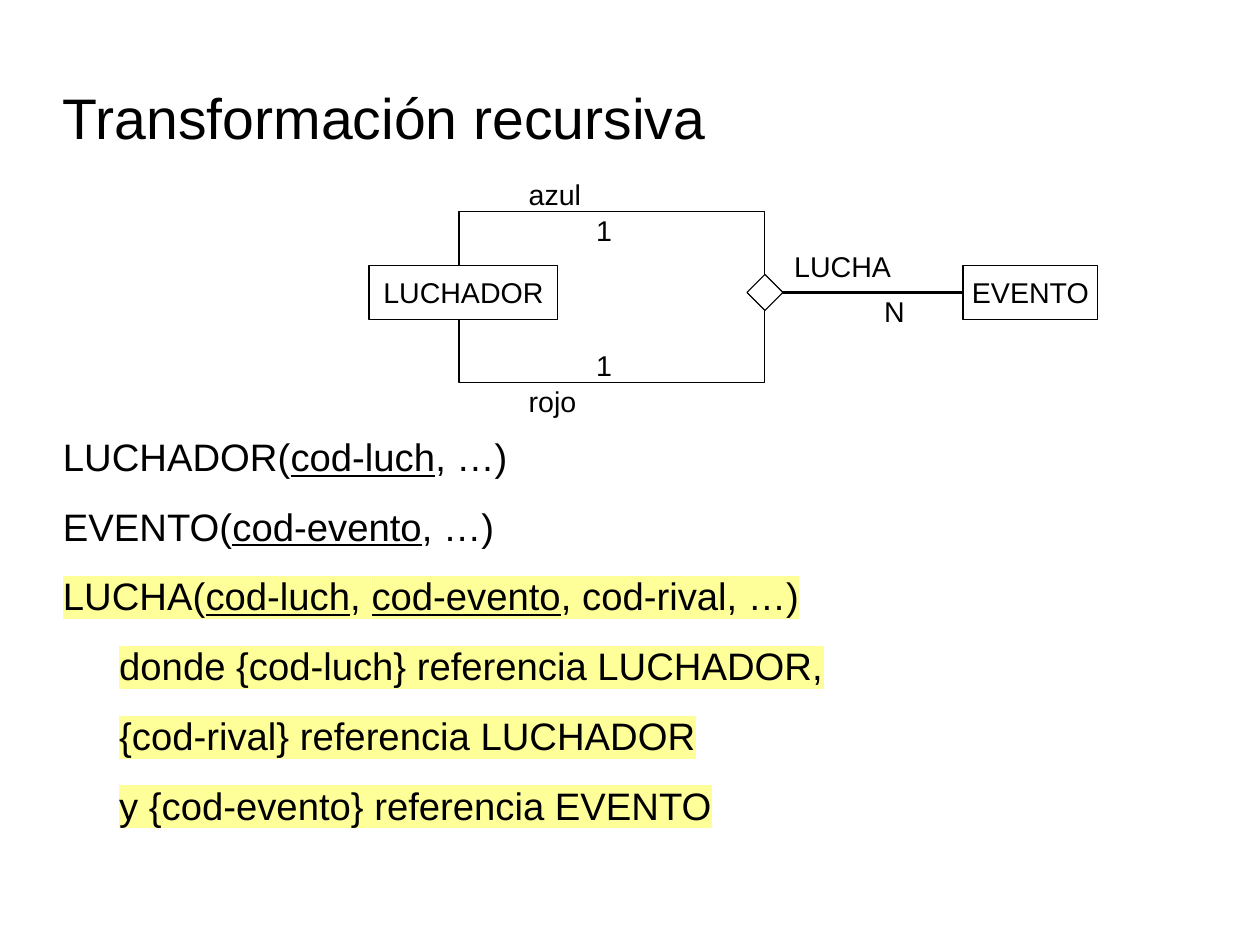
from lxml.etree import SubElement
from pptx import Presentation
from pptx.dml.color import RGBColor
from pptx.enum.shapes import MSO_CONNECTOR, MSO_SHAPE
from pptx.enum.text import MSO_ANCHOR, PP_ALIGN
from pptx.oxml.ns import qn
from pptx.util import Cm, Pt

COLORS = {"ink": "000000", "paper": "FFFFFF", "highlight": "FFFF99"}
FONT = "Arial"

# Each relation is (indented, highlighted, runs); a run is (text, underlined)
RELATIONS = [
    (False, False, [("LUCHADOR(", False), ("cod-luch", True), (", …)", False)]),
    (False, False, [("EVENTO(", False), ("cod-evento", True), (", …)", False)]),
    (False, True, [("LUCHA(", False), ("cod-luch", True), (", ", False),
                   ("cod-evento", True), (", cod-rival, …)", False)]),
    (True, True, [("donde {cod-luch} referencia LUCHADOR,", False)]),
    (True, True, [("{cod-rival} referencia LUCHADOR", False)]),
    (True, True, [("y {cod-evento} referencia EVENTO", False)]),
]


def color(key):
    return RGBColor.from_string(COLORS[key])


def format_run(run, size, highlighted=False):
    run.font.size = Pt(size)
    run.font.color.rgb = color("ink")
    if highlighted:
        mark = SubElement(run.font._element, qn("a:highlight"))
        SubElement(mark, qn("a:srgbClr"), val=COLORS["highlight"])
    run.font.name = FONT


def add_text_frame(slide, left, top, width, height, margins=(0, 0), wrap=True):
    frame = slide.shapes.add_textbox(Cm(left), Cm(top), Cm(width), Cm(height)).text_frame
    frame.word_wrap = wrap
    frame.margin_left = frame.margin_right = Cm(margins[0])
    frame.margin_top = frame.margin_bottom = Cm(margins[1])
    return frame


def add_title(slide, left, top, width, height):
    heading = add_text_frame(slide, left, top, width, height)
    heading.vertical_anchor = MSO_ANCHOR.MIDDLE
    heading.text = "Transformación recursiva"
    format_run(heading.paragraphs[0].runs[0], 36)


def add_node(slide, preset, left, top, width, height, name="", filled=True):
    node = slide.shapes.add_shape(preset, Cm(left), Cm(top), Cm(width), Cm(height))
    node.shadow.inherit = False
    node.line.color.rgb = color("ink")
    node.line.width = Pt(0)
    if filled:
        node.fill.solid()
        node.fill.fore_color.rgb = color("paper")
    else:
        node.fill.background()
    if name:
        frame = node.text_frame
        frame.word_wrap = False
        frame.vertical_anchor = MSO_ANCHOR.MIDDLE
        frame.text = name
        frame.paragraphs[0].alignment = PP_ALIGN.CENTER
        format_run(frame.paragraphs[0].runs[0], 18)


def add_diagram(slide, left, top, width, height):
    middle = top + 2.7
    entity_height, diamond = 1.2, 0.8
    entity_top = middle - entity_height / 2
    luchador_width, evento_width = 4.2, 3
    evento_left = left + width - evento_width
    loop_left, loop_width = left + luchador_width / 2 - 0.1, 6.8
    loop_right = loop_left + loop_width

    # Loop of the two roles, with the first entity over it
    add_node(slide, MSO_SHAPE.RECTANGLE, loop_left, top + 0.9, loop_width, 3.8, filled=False)
    add_node(slide, MSO_SHAPE.RECTANGLE, left, entity_top, luchador_width, entity_height,
             "LUCHADOR")

    # Relationship and the second entity
    link = slide.shapes.add_connector(MSO_CONNECTOR.STRAIGHT, Cm(loop_right), Cm(middle),
                                      Cm(evento_left), Cm(middle))
    link.line.color.rgb = color("ink")
    link.line.width = Pt(0)
    SubElement(link._element.spPr, qn("a:effectLst"))
    add_node(slide, MSO_SHAPE.DIAMOND, loop_right - diamond / 2, middle - diamond / 2,
             diamond, diamond)
    add_node(slide, MSO_SHAPE.RECTANGLE, evento_left, entity_top, evento_width,
             entity_height, "EVENTO")

    # Roles and cardinalities
    label_height = 1.02
    labels = [("LUCHA", 9.2, 1.6, 2.72), ("1", 4.8, 0.8, 0.86), ("1", 4.8, 3.8, 0.86),
              ("azul", 3.3, 0, 1.68), ("rojo", 3.3, height - label_height, 1.6),
              ("N", 11.2, 2.6, 1.02)]
    for text, x, y, label_width in labels:
        label = add_text_frame(slide, left + x, top + y, label_width, label_height,
                               (0.25, 0.13), wrap=False)
        label.text = text
        format_run(label.paragraphs[0].runs[0], 18)


def add_relations(slide, left, top, width, height):
    schema = add_text_frame(slide, left, top, width, height)
    for index, (indented, highlighted, parts) in enumerate(RELATIONS):
        relation = schema.paragraphs[0] if index == 0 else schema.add_paragraph()
        relation.space_after = Pt(15)
        if indented:
            relation._p.get_or_add_pPr().set("marL", str(Cm(1.25)))
        for text, underlined in parts:
            run = relation.add_run()
            run.text = text
            format_run(run, 24.1, highlighted)
            if underlined:
                run.font.underline = True


def main():
    presentation = Presentation()
    presentation.slide_width, presentation.slide_height = Cm(28), Cm(21)
    slide = presentation.slides.add_slide(presentation.slide_layouts[6])
    add_title(slide, 1.4, 1.6, 20, 2)
    add_diagram(slide, 8.2, 3.8, 16.2, 5.62)
    add_relations(slide, 1.4, 9.63, 25.2, 9)
    presentation.save("out.pptx")


if __name__ == "__main__":
    main()
